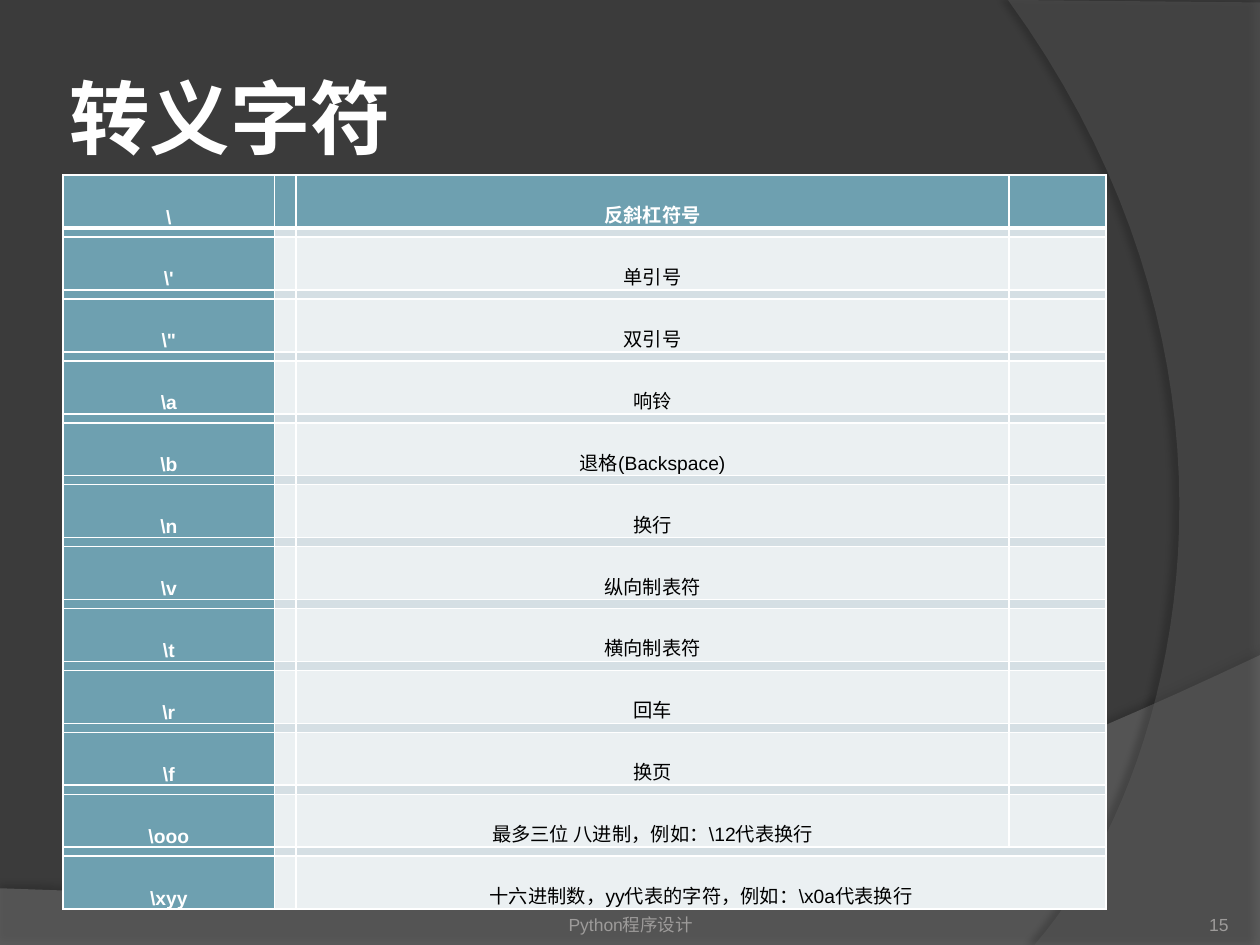
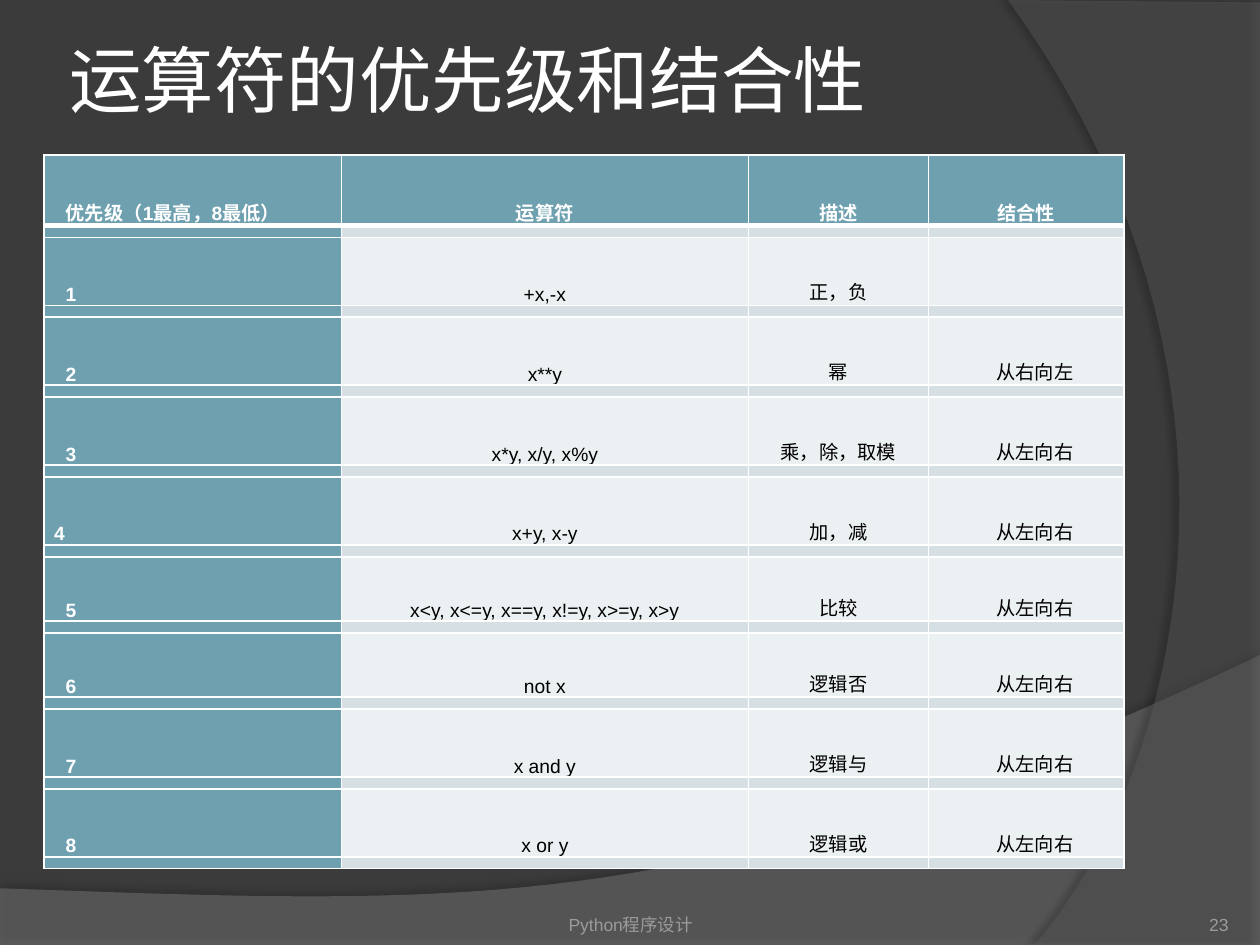
import pptx
import pptx.dml.color
import pptx.enum.text
import pptx.oxml
import pptx.oxml.ns
import pptx.util

Inches = pptx.util.Inches
Pt = pptx.util.Pt
ALIGN = pptx.enum.text.PP_ALIGN
ANCHOR = pptx.enum.text.MSO_ANCHOR
NS = pptx.oxml.ns.nsdecls("a")

COLORS = {
    "back": "3B3B3B", "wave": "7F7F7F", "arc": "5E5E5E", "shade": "000000",
    "white": "FFFFFF", "ink": "000000", "foot": "9D9B9A",
    "head": "6EA0B0", "thin": "D5DFE4", "body": "EBF0F2",
}

ESCAPES = [
    ("\\", "反斜杠符号"),
    ("\\'", "单引号"),
    ('\\"', "双引号"),
    ("\\a", "响铃"),
    ("\\b", "退格(Backspace)"),
    ("\\n", "换行"),
    ("\\v", "纵向制表符"),
    ("\\t", "横向制表符"),
    ("\\r", "回车"),
    ("\\f", "换页"),
    ("\\ooo", "最多三位 八进制，例如：\\12代表换行"),
    ("\\xyy", "十六进制数，yy代表的字符，例如：\\x0a代表换行"),
]

LEFT = "从左向右"
RANKS = [
    ("优先级（1最高，8最低）", "运算符", "描述", "结合性"),
    ("1", "+x,-x", "正，负", ""),
    ("2", "x**y", "幂", "从右向左"),
    ("3", "x*y, x/y, x%y", "乘，除，取模", LEFT),
    ("4", "x+y, x-y", "加，减", LEFT),
    ("5", "x<y, x<=y, x==y, x!=y, x>=y, x>y", "比较", LEFT),
    ("6", "not x", "逻辑否", LEFT),
    ("7", "x and y", "逻辑与", LEFT),
    ("8", "x or y", "逻辑或", LEFT),
]


def color(name):
    """Look up a named colour."""
    return pptx.dml.color.RGBColor.from_string(COLORS[name])


def paint(fill, name):
    """Make a fill solid in a named colour."""
    fill.solid()
    fill.fore_color.rgb = color(name)


def write(frame, words, size=11, tint="ink", bold=False, face="Arial",
          align=ALIGN.LEFT, indent=0, line=None):
    """Put one formatted paragraph in a text frame."""
    para = frame.paragraphs[0]
    para.alignment = align
    if indent:
        para._p.get_or_add_pPr().set("marL", str(Inches(indent)))
    if line:
        para.line_spacing = Pt(line)
    run = para.add_run()
    run.text = words
    font = run.font
    font.size, font.bold, font.name = Pt(size), bold, face
    font.color.rgb = color(tint)


def label(slide, box, words, anchor, pads, **style):
    """Add a text box; pads are left, top, right and bottom."""
    frame = slide.shapes.add_textbox(*map(Inches, box)).text_frame
    frame.word_wrap = True
    frame.vertical_anchor = anchor
    (frame.margin_left, frame.margin_top,
     frame.margin_right, frame.margin_bottom) = map(Inches, pads)
    write(frame, words, **style)


def curve(start, near, far, end, steps=40):
    """List the points of a cubic curve, without its start."""
    points = []
    for step in range(1, steps + 1):
        t = step / steps
        u = 1 - t
        parts = (u ** 3, 3 * u * u * t, 3 * u * t * t, t ** 3)
        points.append(tuple(
            sum(w * p[axis] for w, p in zip(parts, (start, near, far, end)))
            for axis in (0, 1)))
    return points


def sweep(slide, points, tint, alpha, shade, dist, angle):
    """Draw a translucent outline with a soft shadow."""
    points = [(Inches(x), Inches(y)) for x, y in points]
    pen = slide.shapes.build_freeform(*points[0])
    pen.add_line_segments(points[1:], close=True)
    shape = pen.convert_to_shape()
    paint(shape.fill, tint)
    shape.line.fill.background()
    rgb = shape._element.spPr.find(".//" + pptx.oxml.ns.qn("a:srgbClr"))
    rgb.append(pptx.oxml.parse_xml(f'<a:alpha {NS} val="{alpha * 1000}"/>'))
    shape._element.spPr.append(pptx.oxml.parse_xml(
        f'<a:effectLst {NS}><a:outerShdw blurRad="{Pt(4)}" dist="{Pt(dist)}" '
        f'dir="{angle * 60000}" algn="ctr" rotWithShape="0">'
        f'<a:srgbClr val="{COLORS["shade"]}"><a:alpha val="{shade * 1000}"/>'
        '</a:srgbClr></a:outerShdw></a:effectLst>'))


def base(deck, title, number, size, bold=False, lift=0):
    """Add a slide with the shared waves, title and footer."""
    slide = deck.slides.add_slide(deck.slide_layouts[6])
    paint(slide.background.fill, "back")
    wave = curve((10, 5.2), (5.59, 7.29), (3.91, 7.19), (0, 7.05))
    sweep(slide, [(0, 7.05), (0, 7.5), (10, 7.5), (10, 5.2)] + wave,
          "wave", 45, 35, 3.5, 270)
    arc = curve((8.21, 7.5), (9.35, 6.19), (10.18, 3), (8, 0))
    sweep(slide, [(10, 0.02), (10, 7.5), (8.21, 7.5)] + arc,
          "arc", 40, 45, 4, 180)
    label(slide, (0.5, 0.3, 8.17, 1.25), title, ANCHOR.MIDDLE,
          (0.05, 0.05, 0.05, 0.05 + lift),
          size=size, tint="white", bold=bold, face="Roboto")
    label(slide, (3.42, 7.02, 3.17, 0.4), "Python程序设计", ANCHOR.BOTTOM,
          (0, 0.05, 0, 0), size=10, tint="foot", align=ALIGN.CENTER)
    label(slide, (8.92, 7.02, 0.83, 0.4), str(number), ANCHOR.BOTTOM,
          (0, 0, 0, 0), size=10, tint="foot", align=ALIGN.RIGHT)
    return slide


def edge(cell, row):
    """Rule a cell in white, thick under the header row."""
    wide = {"T": 3 if row == 1 else 1, "B": 3 if row == 0 else 1}
    for spot, side in enumerate("LRTB"):
        cell._tc.get_or_add_tcPr().insert(spot, pptx.oxml.parse_xml(
            f'<a:ln{side} {NS} w="{Pt(wide.get(side, 1))}"><a:solidFill>'
            f'<a:srgbClr val="{COLORS["white"]}"/></a:solidFill></a:ln{side}>'))


def grid(slide, box, cols, talls, count):
    """Add a table whose tall rows alternate with equal thin ones."""
    gap = (box[3] - sum(talls)) / (count - len(talls))
    table = slide.shapes.add_table(count, len(cols), *map(Inches, box)).table
    for col, width in zip(table.columns, cols):
        col.width = Inches(width)
    for row, line in enumerate(table.rows):
        line.height = Inches(gap if row % 2 else talls[row // 2])
        for col, cell in enumerate(line.cells):
            cell.margin_left = cell.margin_right = 0
            cell.margin_top = cell.margin_bottom = 0
            cell.vertical_anchor = ANCHOR.BOTTOM
            head = row == 0 or col == 0
            paint(cell.fill, "head" if head else "thin" if row % 2 else "body")
            edge(cell, row)
            cell.text_frame.paragraphs[0]._p.append(
                pptx.oxml.parse_xml(f'<a:endParaRPr {NS} sz="300"/>'))
    return table


def fill(table, row, col, words, **style):
    """Write a table cell, in bold white for the heads."""
    if words:
        head = row == 0 or col == 0
        write(table.cell(row, col).text_frame, words,
              tint="white" if head else "ink", bold=head, **style)


def escapes(deck):
    """Build the slide on escape characters."""
    slide = base(deck, "转义字符", 15, 46, bold=True)
    count = 2 * len(ESCAPES) - 1
    table = grid(slide, (0.5, 1.39, 8.28, 5.83), (1.68, 0.17, 5.66, 0.77),
                 [0.42] * len(ESCAPES), count)
    for row in (count - 2, count - 1):
        table.cell(row, 2).merge(table.cell(row, 3))
    for index, (code, sense) in enumerate(ESCAPES):
        fill(table, 2 * index, 0, code, align=ALIGN.CENTER)
        fill(table, 2 * index, 2, sense, align=ALIGN.CENTER, line=13.2)


def ranks(deck):
    """Build the slide on operator precedence."""
    slide = base(deck, "运算符的优先级和结合性", 23, 41.4, lift=0.6)
    talls = [0.56] + [0.54] * 4 + [0.51] * 2 + [0.54] * 2
    table = grid(slide, (0.35, 1.23, 8.56, 5.67), (2.36, 3.23, 1.43, 1.55),
                 talls, 2 * len(RANKS))
    for index, words in enumerate(RANKS):
        line = None if index else 13.3
        first = 0.08 if index == 4 else 0.17
        last = 0.14 if index else 0
        for col, (word, indent) in enumerate(zip(words, (first, 0, 0, last))):
            fill(table, 2 * index, col, word, indent=indent, line=line,
                 align=ALIGN.CENTER if col else ALIGN.LEFT)


def main():
    """Build and save the deck."""
    deck = pptx.Presentation()
    deck.slide_width, deck.slide_height = Inches(10), Inches(7.5)
    escapes(deck)
    ranks(deck)
    deck.save("out.pptx")


main()
